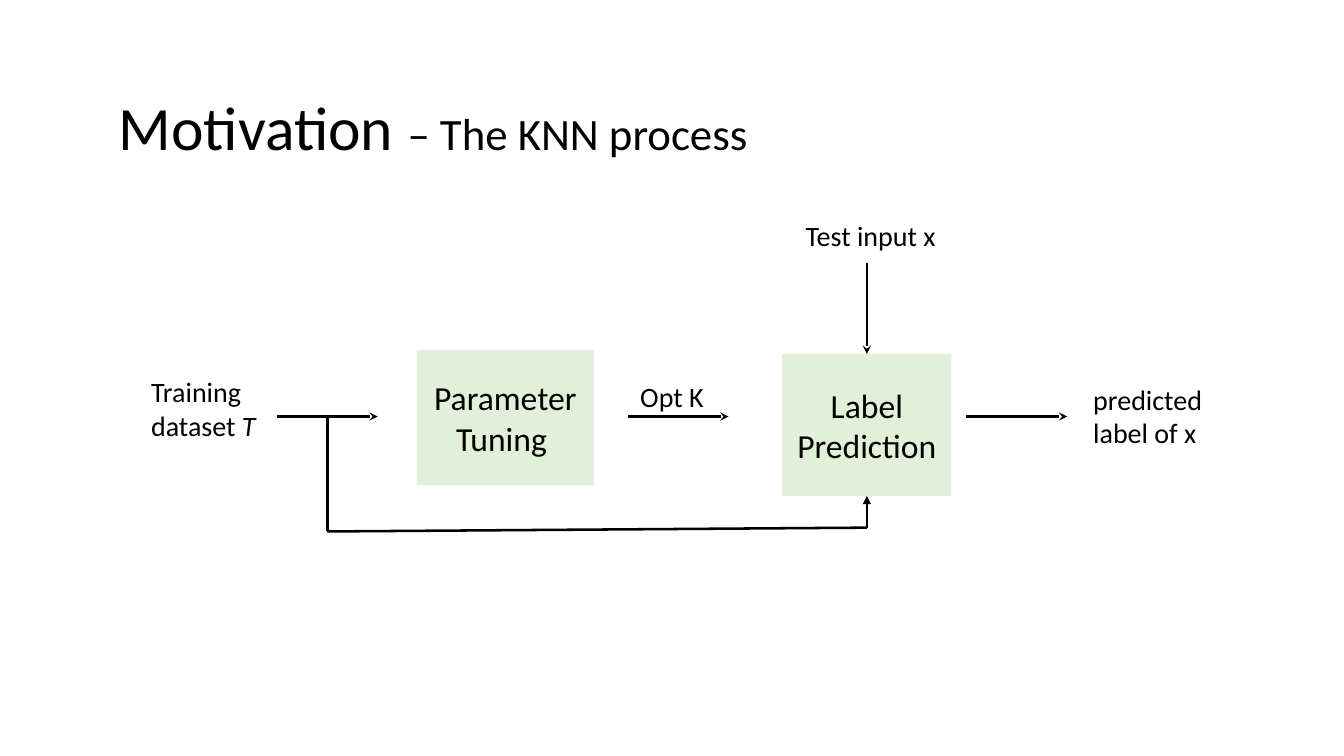
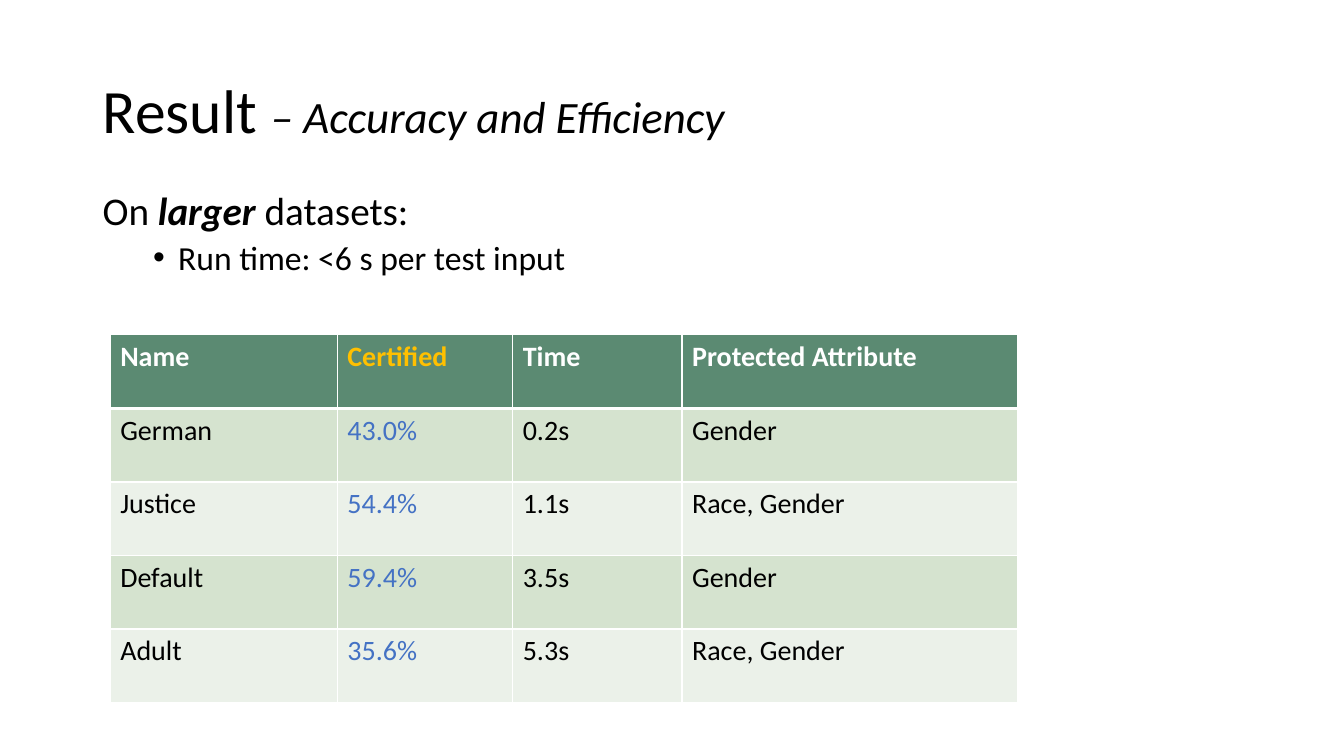
from dataclasses import dataclass
from typing import Optional

from lxml.etree import SubElement
from pptx import Presentation
from pptx.dml.color import RGBColor
from pptx.enum.shapes import MSO_CONNECTOR, MSO_SHAPE
from pptx.enum.text import MSO_ANCHOR, PP_ALIGN
from pptx.oxml.ns import qn
from pptx.util import Emu, Inches, Pt

FONT = "Calibri"
BLACK, WHITE = "000000", "FFFFFF"
BOX_GREEN = "E2F0D9"
HEAD_GREEN, BAND_DARK, BAND_LIGHT = "5B8A72", "D5E3CF", "EBF1E9"
GOLD, BLUE = "FFC000", "4472C4"
WIDTH, HEIGHT = Inches(13.33), Inches(7.5)
TOP, LEFT, BOTTOM, RIGHT = range(4)
TITLE_HEIGHT = 19.3


def rgb(color: str) -> RGBColor:
    return RGBColor.from_string(color)


def across(share: float) -> Emu:
    """Percent of the slide width."""
    return Emu(round(WIDTH * share / 100))


def down(share: float) -> Emu:
    """Percent of the slide height."""
    return Emu(round(HEIGHT * share / 100))


@dataclass(frozen=True)
class Area:
    """A rectangle in percent of the slide's width and height."""
    x: float
    y: float
    w: float
    h: float

    def emu(self) -> tuple[Emu, Emu, Emu, Emu]:
        return across(self.x), down(self.y), across(self.w), down(self.h)


@dataclass(frozen=True)
class Run:
    text: str
    size: Optional[float] = None
    bold: bool = False
    italic: bool = False


@dataclass(frozen=True)
class Line:
    start: tuple[float, float]
    end: tuple[float, float]
    head: Optional[str] = None
    joins: Optional[tuple] = None  # shape and side at the end


# Shared drawing functions
def write(p, content, *, size=20, color=BLACK, bold=False,
          align=PP_ALIGN.LEFT, spacing=1.0, before=0) -> None:
    """Fill a paragraph with a string or a list of runs."""
    p.alignment, p.line_spacing, p.space_before = align, spacing, Pt(before)
    for run in [Run(content)] if isinstance(content, str) else content:
        r = p.add_run()
        r.text = run.text
        r.font.name, r.font.size = FONT, Pt(run.size or size)
        r.font.bold, r.font.italic = bold or run.bold, run.italic
        r.font.color.rgb = rgb(color)


def add_text(slide, area: Area, *paragraphs, anchor=MSO_ANCHOR.TOP, **style):
    tf = slide.shapes.add_textbox(*area.emu()).text_frame
    tf.word_wrap, tf.vertical_anchor = True, anchor
    for i, content in enumerate(paragraphs):
        write(tf.add_paragraph() if i else tf.paragraphs[0], content, **style)
    return tf


def add_title(slide, x: float, y: float, w: float, topic: str,
              detail: Run) -> None:
    add_text(slide, Area(x, y, w, TITLE_HEIGHT), [Run(topic), detail],
             anchor=MSO_ANCHOR.MIDDLE, size=44, spacing=0.9)


def add_box(slide, area: Area, text: str):
    sp = slide.shapes.add_shape(MSO_SHAPE.RECTANGLE, *area.emu())
    sp.shadow.inherit = False
    sp.fill.solid()
    sp.fill.fore_color.rgb = rgb(BOX_GREEN)
    sp.line.fill.background()
    tf = sp.text_frame
    tf.word_wrap, tf.vertical_anchor = True, MSO_ANCHOR.MIDDLE
    write(tf.paragraphs[0], text, size=24, align=PP_ALIGN.CENTER)
    return sp


def add_line(slide, line: Line) -> None:
    (x1, y1), (x2, y2) = line.start, line.end
    cx = slide.shapes.add_connector(MSO_CONNECTOR.STRAIGHT, across(x1),
                                    down(y1), across(x2), down(y2))
    if line.joins:
        cx.end_connect(*line.joins)
    cx.line.width = Pt(1.8)
    cx.line.color.rgb = rgb(BLACK)
    if line.head:
        SubElement(cx.line._get_or_add_ln(), qn("a:tailEnd"), type=line.head)
    SubElement(cx._element.spPr, qn("a:effectLst"))


def add_bullet(p, left: float, hanging: float) -> None:
    p.level = 1
    pPr = p._p.get_or_add_pPr()
    pPr.set("marL", str(Inches(left)))
    pPr.set("indent", str(-Inches(hanging)))
    SubElement(pPr, qn("a:buFont"), typeface="Arial")
    SubElement(pPr, qn("a:buChar"), char="•")


def format_cell(cell, text: str, fill: str, top: float, bottom: float,
                **style) -> None:
    write(cell.text_frame.paragraphs[0], text, **style)
    tcPr = cell._tc.get_or_add_tcPr()
    for side, width in (("L", 1), ("R", 1), ("T", top), ("B", bottom)):
        ln = SubElement(tcPr, qn(f"a:ln{side}"), w=str(Pt(width)))
        SubElement(SubElement(ln, qn("a:solidFill")), qn("a:srgbClr"),
                   val=WHITE)
    cell.fill.solid()
    cell.fill.fore_color.rgb = rgb(fill)


# Slide 1: process diagram
def build_process(slide) -> None:
    add_title(slide, 8.1, 7.6, 86.25, "Motivation ",
              Run("– The KNN process", 32))

    add_box(slide, Area(31, 46.3, 13.2, 17.9), "Parameter Tuning ")
    label_area = Area(58.2, 46.8, 12.6, 18.8)
    label_box = add_box(slide, label_area, "Label Prediction")

    add_text(slide, Area(10.5, 48.9, 13.2, 10.3),
             [Run("Training dataset "), Run("T", italic=True)])
    add_text(slide, Area(59.2, 28.3, 13.8, 5.9), "Test input x")
    add_text(slide, Area(46.9, 49.5, 7.7, 5.9), "Opt K")
    add_text(slide, Area(80.6, 49.9, 15.4, 10.3), "predicted", "label of x")

    # Main flow, left to right
    flow_y, flow_length = 55.1, 7.5
    flow_starts = (20.6, 46.7, 71.9)
    for x in flow_starts:
        add_line(slide, Line((x, flow_y), (x + flow_length, flow_y),
                             "stealth"))

    # Test input from above, training data from below
    branch_x = flow_starts[0] + flow_length / 2
    label_x = label_area.x + label_area.w / 2
    corner_left, corner_right = (branch_x, 70.3), (label_x, 69.8)
    for line in (
        Line((label_x, 34.8), (label_x, label_area.y), "stealth",
             (label_box, TOP)),
        Line((branch_x, flow_y), corner_left),
        Line(corner_left, corner_right),
        Line(corner_right, (label_x, label_area.y + label_area.h),
             "triangle", (label_box, BOTTOM)),
    ):
        add_line(slide, line)


# Slide 2: results table
RESULTS = (
    ("Name", "Certified", "Time", "Protected Attribute"),
    ("German", "43.0%", "0.2s", "Gender"),
    ("Justice", "54.4%", "1.1s", "Race, Gender"),
    ("Default", "59.4%", "3.5s", "Gender"),
    ("Adult", "35.6%", "5.3s", "Race, Gender"),
)
COLUMN_SHARES = (16.9, 13.05, 12.6, 25)
ROW_SHARE = 9.73
CERTIFIED = 1


def build_results(slide) -> None:
    margin = 6.9
    add_title(slide, margin, 5.3, 73.9, "Result ",
              Run("– Accuracy and Efficiency", 32, italic=True))

    tf = add_text(slide, Area(margin, 24.7, 43.7, TITLE_HEIGHT),
                  [Run("On "), Run("larger ", bold=True, italic=True),
                   Run("datasets:")], size=28, spacing=0.9, before=10)
    p = tf.add_paragraph()
    write(p, "Run time: <6 s per test input", size=24, spacing=0.9, before=5)
    add_bullet(p, 0.75, 0.25)

    area = Area(8.2, 44.3, sum(COLUMN_SHARES), ROW_SHARE * len(RESULTS))
    table = slide.shapes.add_table(len(RESULTS), len(COLUMN_SHARES),
                                   *area.emu()).table
    table.horz_banding = False
    for column, share in zip(table.columns, COLUMN_SHARES):
        column.width = across(share)
    for i, values in enumerate(RESULTS):
        table.rows[i].height = down(ROW_SHARE)
        header = i == 0
        fill = HEAD_GREEN if header else BAND_DARK if i % 2 else BAND_LIGHT
        plain, accent = (WHITE, GOLD) if header else (BLACK, BLUE)
        for j, text in enumerate(values):
            format_cell(table.cell(i, j), text, fill,
                        top=3 if i == 1 else 1, bottom=3 if header else 1,
                        color=accent if j == CERTIFIED else plain,
                        bold=header)


def main() -> None:
    prs = Presentation()
    prs.slide_width, prs.slide_height = WIDTH, HEIGHT
    blank = prs.slide_layouts[6]
    for build in (build_process, build_results):
        build(prs.slides.add_slide(blank))
    prs.save("out.pptx")


if __name__ == "__main__":
    main()
